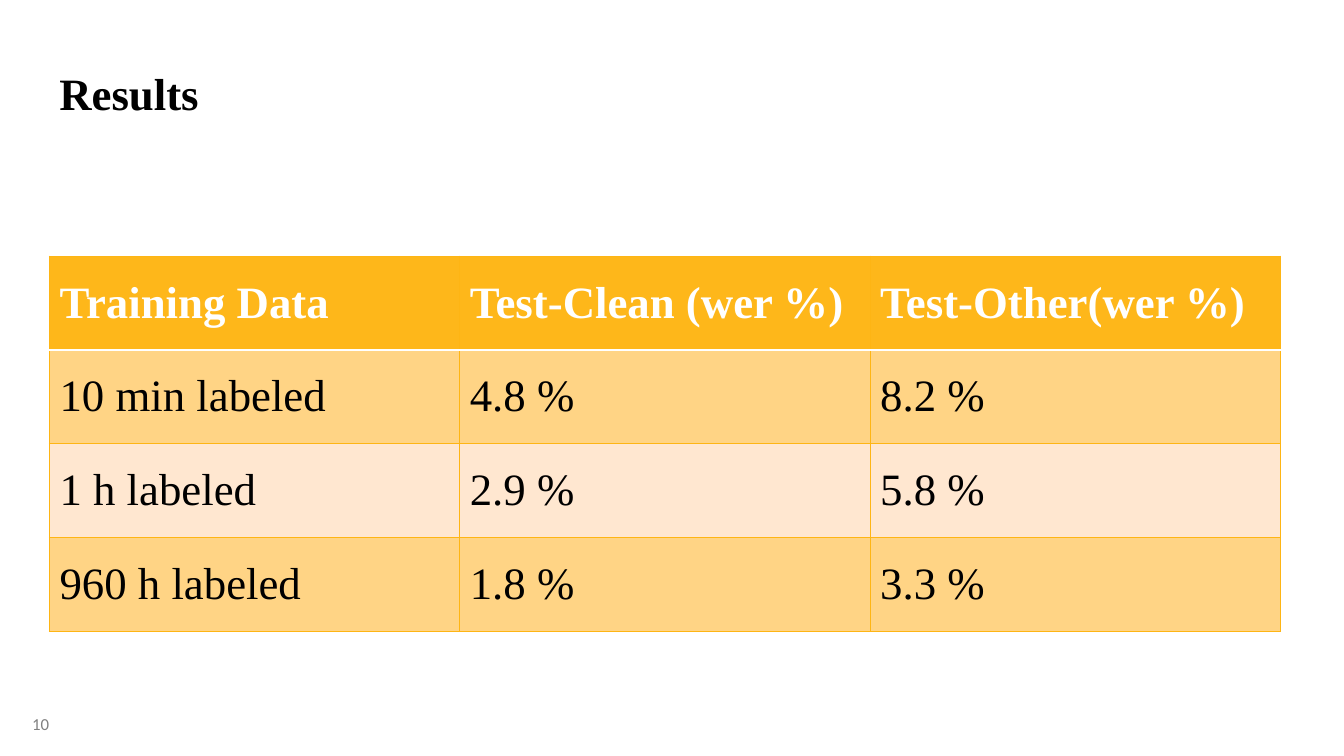
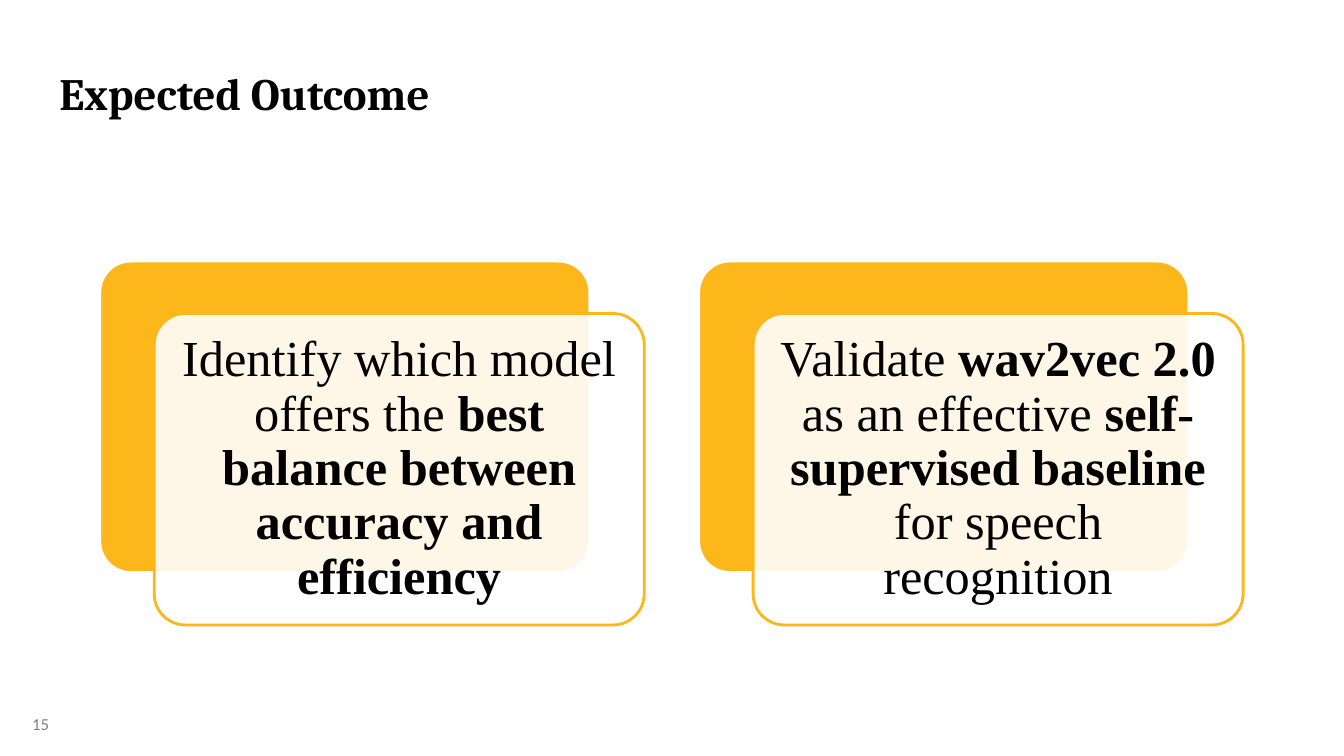
from lxml.etree import SubElement
from pptx import Presentation
from pptx.dml.color import RGBColor
from pptx.enum.shapes import MSO_SHAPE
from pptx.enum.text import MSO_ANCHOR as Anchor, PP_ALIGN as Align
from pptx.oxml import parse_xml
from pptx.oxml.ns import nsdecls, qn
from pptx.util import Inches, Pt

COLORS = {
    "black": "000000",
    "white": "FFFFFF",
    "gray": "808080",
    "gold": "FEB71A",
    "border": "FEB514",
    "dark_band": "FFD485",
    "light_band": "FFE7D0",
}
SERIF = "Times New Roman"


def rgb(name):
    return RGBColor.from_string(COLORS[name])


class Deck:
    def __init__(self):
        self.presentation = Presentation()
        self.presentation.slide_width = Inches(13.33)
        self.presentation.slide_height = Inches(7.5)
        self.slide = None

    def add_slide(self, title, number, title_font=SERIF):
        layout = self.presentation.slide_layouts[6]
        self.slide = self.presentation.slides.add_slide(layout)
        self.text(number, 0.22, 7.03, 1.22, 0.4, 12, "Calibri", "gray")
        self.text(title, 0.49, 0.3, 12.39, 0.93, 32, title_font, "black",
                  bold=True, anchor=Anchor.BOTTOM)

    def style(self, paragraph, size, font_name=SERIF, color="black", bold=None):
        font = paragraph.font
        font.size = Pt(size)
        font.name = font_name
        font.color.rgb = rgb(color)
        font.bold = bold

    def text(self, content, left, top, width, height, size, font_name, color,
             bold=False, anchor=Anchor.TOP):
        box = self.slide.shapes.add_textbox(
            Inches(left), Inches(top), Inches(width), Inches(height))
        frame = box.text_frame
        frame.word_wrap = True
        frame.vertical_anchor = anchor
        paragraph = frame.paragraphs[0]
        paragraph.text = content
        self.style(paragraph, size, font_name, color, bold)

    def cell_border(self, cell, side, color, width):
        properties = cell._tc.get_or_add_tcPr()
        line = parse_xml(
            f'<a:{side} {nsdecls("a")} w="{Pt(width)}"><a:solidFill>'
            f'<a:srgbClr val="{COLORS[color]}"/></a:solidFill></a:{side}>')
        properties.insert(len(properties) - 1, line)

    def table(self, rows, left, top, column_width, row_height):
        row_count, column_count = len(rows), len(rows[0])
        table = self.slide.shapes.add_table(
            row_count, column_count, Inches(left), Inches(top),
            Inches(column_width * column_count),
            Inches(row_height * row_count)).table
        for row_index, values in enumerate(rows):
            header = row_index == 0
            band = "dark_band" if row_index % 2 else "light_band"
            for column_index, value in enumerate(values):
                cell = table.cell(row_index, column_index)
                cell.vertical_anchor = Anchor.MIDDLE
                cell.fill.solid()
                cell.fill.fore_color.rgb = rgb("gold" if header else band)
                paragraph = cell.text_frame.paragraphs[0]
                paragraph.text = value
                self.style(paragraph, 32, color="white" if header else "black",
                           bold=header)
                for side in ("lnL", "lnR", "lnT", "lnB"):
                    divider = (row_index, side) in ((0, "lnB"), (1, "lnT"))
                    self.cell_border(cell, side,
                                     "white" if divider else "border",
                                     2 if divider else 0.75)

    def rounded(self, left, top, fill, line):
        shape = self.slide.shapes.add_shape(
            MSO_SHAPE.ROUNDED_RECTANGLE, Inches(left), Inches(top),
            Inches(4.86), Inches(3.09))
        shape.adjustments[0] = 0.1
        shape.shadow.inherit = False
        shape.fill.solid()
        shape.fill.fore_color.rgb = rgb(fill)
        shape.line.color.rgb = rgb(line)
        shape.line.width = Pt(2)
        return shape

    def card(self, left, top, segments):
        self.rounded(left, top, "gold", "white")
        front = self.rounded(left + 0.54, top + 0.52, "white", "gold")
        fill_color = front.fill._xPr.find(qn("a:solidFill"))[0]
        SubElement(fill_color, qn("a:alpha")).set("val", "90000")
        frame = front.text_frame
        frame.word_wrap = True
        frame.vertical_anchor = Anchor.MIDDLE
        frame.margin_left = frame.margin_right = Inches(0.15)
        frame.margin_top = frame.margin_bottom = Inches(0.15)
        paragraph = frame.paragraphs[0]
        paragraph.alignment = Align.CENTER
        paragraph.line_spacing = 0.9
        self.style(paragraph, 36)
        for content, bold in segments:
            run = paragraph.add_run()
            run.text = content
            run.font.bold = bold


def main():
    deck = Deck()

    deck.add_slide("Results", "10")
    results = [
        ("Training Data", "Test-Clean (wer %)", "Test-Other(wer %)"),
        ("10 min labeled", "4.8 %", "8.2 %"),
        ("1 h labeled", "2.9 %", "5.8 %"),
        ("960 h labeled", "1.8 %", "3.3 %"),
    ]
    deck.table(results, 0.49, 2.54, 4.07, 0.93)

    deck.add_slide("Expected Outcome", "15", "Cambria")
    outcomes = [
        [("Identify which model offers the ", False),
         ("best balance between accuracy and efficiency", True)],
        [("Validate ", False), ("wav2vec 2.0", True),
         (" as an effective ", False), ("self-supervised baseline", True),
         (" for speech recognition", False)],
    ]
    for index, segments in enumerate(outcomes):
        deck.card(0.99 + 5.94 * index, 2.59, segments)

    deck.presentation.save("out.pptx")


if __name__ == "__main__":
    main()
